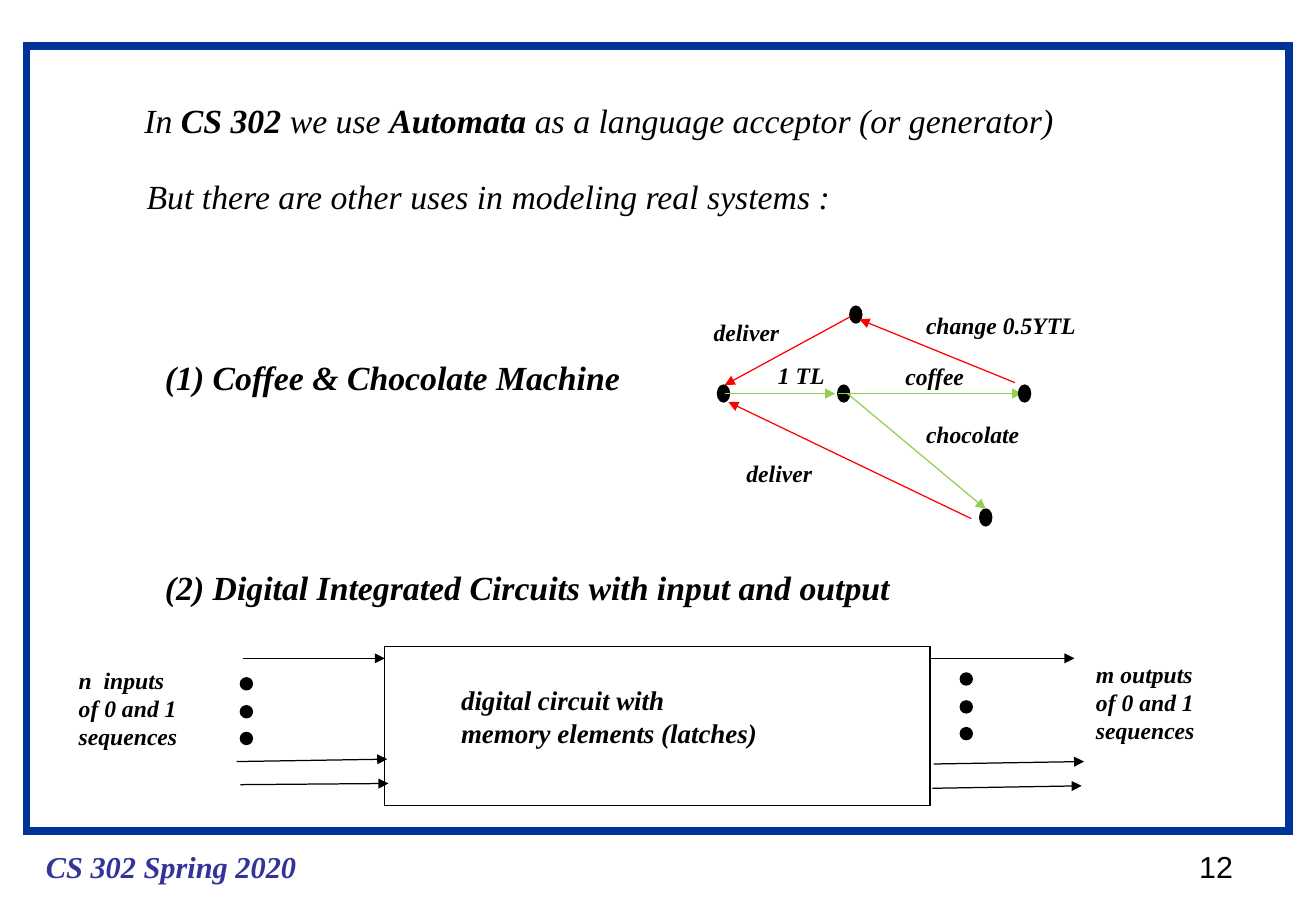
from pptx import Presentation
from pptx.dml.color import RGBColor
from pptx.enum.shapes import MSO_CONNECTOR as Link, MSO_SHAPE as Kind
from pptx.enum.text import MSO_AUTO_SIZE as Fit
from pptx.oxml.ns import qn
from pptx.util import Inches, Pt
from lxml.etree import SubElement

BLACK = RGBColor(0x00, 0x00, 0x00)
WHITE = RGBColor(0xFF, 0xFF, 0xFF)
NAVY = RGBColor(0x00, 0x33, 0x99)
INDIGO = RGBColor(0x33, 0x33, 0x99)
RED = RGBColor(0xFF, 0x00, 0x00)
GREEN = RGBColor(0x92, 0xD0, 0x50)
SERIF, SANS = "Times New Roman", "Arial"

INTRO = [("In ", False), ("CS 302", True), (" we use ", False), ("Automata ", True),
         ("as a language acceptor (or generator)", False)]
USES = [("But there are other uses in modeling real systems :", False)]
HEADS = [
    (1.09, 0.77, 7.69, INTRO),
    (1.11, 1.4, 5.86, USES),
    (1.26, 2.89, 3.95, [("(1) Coffee & Chocolate Machine", True)]),
    (1.26, 4.62, 6.18, [("(2) Digital Integrated Circuits with input and output", True)]),
]
LABELS = [
    (6.31, 2.92, 0.7, "1 TL"),
    (7.36, 2.93, 0.8, "coffee"),
    (7.53, 3.41, 1.1, "chocolate"),
    (6.05, 3.73, 0.85, "deliver"),
    (7.53, 2.51, 1.6, "change 0.5YTL"),
    (5.78, 2.57, 0.85, "deliver"),
]
STATES = [(5.91, 3.17), (6.9, 3.17), (8.07, 4.19), (7, 2.52)]
PAID = (8.39, 3.17)
MOVES = [
    (5.97, 3.24, 6.88, 3.24, GREEN),
    (6.9, 3.24, 8.42, 3.24, GREEN),
    (6.98, 3.24, 8.12, 4.19, GREEN),
    (8, 4.27, 6, 3.31, RED),
    (8.36, 3.15, 7.08, 2.63, RED),
    (7, 2.61, 5.97, 3.17, RED),
]
WIRES = [
    (2, 5.42, 3.17, 5.42),
    (1.95, 6.27, 3.19, 6.25),
    (1.98, 6.46, 3.2, 6.45),
    (7.66, 5.42, 8.85, 5.42),
    (7.69, 6.29, 8.93, 6.27),
    (7.68, 6.49, 8.91, 6.47),
]
DOTS = [(1.98, 5.58), (7.91, 5.54)]
STEPS = [0, 0.23, 0.45]
INPUTS = ["n  inputs", "of 0 and 1", "sequences"]
OUTPUTS = ["m outputs", "of 0 and 1", "sequences"]
CIRCUIT = ["digital circuit with", "memory elements (latches)"]

deck = Presentation()
deck.slide_width, deck.slide_height = Inches(10.84), Inches(7.5)
slide = deck.slides.add_slide(deck.slide_layouts[6])
shapes = slide.shapes


def add_form(kind, x, y, w, h, fill, line=BLACK, width=0.75):
    form = shapes.add_shape(kind, Inches(x), Inches(y), Inches(w), Inches(h))
    form.shadow.inherit = False
    if fill is None:
        form.fill.background()
    else:
        form.fill.solid()
        form.fill.fore_color.rgb = fill
    form.line.color.rgb = line
    form.line.width = Pt(width)
    SubElement(form.line._get_or_add_ln(), qn("a:miter"), lim="800000")


def add_arrow(x1, y1, x2, y2, color=BLACK):
    arrow = shapes.add_connector(Link.STRAIGHT, Inches(x1), Inches(y1), Inches(x2), Inches(y2))
    arrow.line.color.rgb = color
    arrow.line.width = Pt(0.75)
    SubElement(arrow.line._get_or_add_ln(), qn("a:tailEnd"), type="triangle")
    SubElement(arrow._element.spPr, qn("a:effectLst"))


def add_text(x, y, w, h, lines, size, color=BLACK, face=SERIF, slant=True, wrap=False):
    box = shapes.add_textbox(Inches(x), Inches(y), Inches(w), Inches(h))
    frame = box.text_frame
    frame.word_wrap = wrap
    frame.auto_size = Fit.SHAPE_TO_FIT_TEXT
    for i, line in enumerate(lines):
        para = frame.add_paragraph() if i else frame.paragraphs[0]
        for words, bold in line:
            run = para.add_run()
            run.text = words
            run.font.name = face
            run.font.size = Pt(size)
            run.font.bold = bold
            run.font.italic = slant
            run.font.color.rgb = color


def embolden(lines):
    return [[(line, True)] for line in lines]


def add_state(x, y):
    add_form(Kind.OVAL, x, y, 0.1, 0.14, BLACK)


add_form(Kind.RECTANGLE, 0.22, 0.38, 10.4, 6.46, None, NAVY, 4.5)
add_text(0.28, 6.93, 2.26, 0.4, embolden(["CS 302 Spring 2020"]), 18, INDIGO)
add_text(9.78, 6.93, 0.48, 0.4, [[("12", False)]], 18, face=SANS, slant=False)
for x, y, w, runs in HEADS:
    add_text(x, y, w, 0.44, [runs], 20)

add_form(Kind.RECTANGLE, 3.17, 5.32, 4.49, 1.31, WHITE)
for wire in WIRES:
    add_arrow(*wire)
for x, y in DOTS:
    for step in STEPS:
        add_form(Kind.OVAL, x, y + step, 0.1, 0.1, BLACK)
add_text(0.55, 5.43, 1.01, 0.8, embolden(INPUTS), 14)
add_text(3.7, 5.58, 2.64, 0.64, embolden(CIRCUIT), 16)
add_text(8.93, 5.38, 1.53, 0.8, embolden(OUTPUTS), 14, wrap=True)

for state in STATES:
    add_state(*state)
for move in MOVES:
    add_arrow(*move)
add_state(*PAID)
for x, y, w, label in LABELS:
    add_text(x, y, w, 0.34, embolden([label]), 14, wrap=True)

deck.save("out.pptx")
